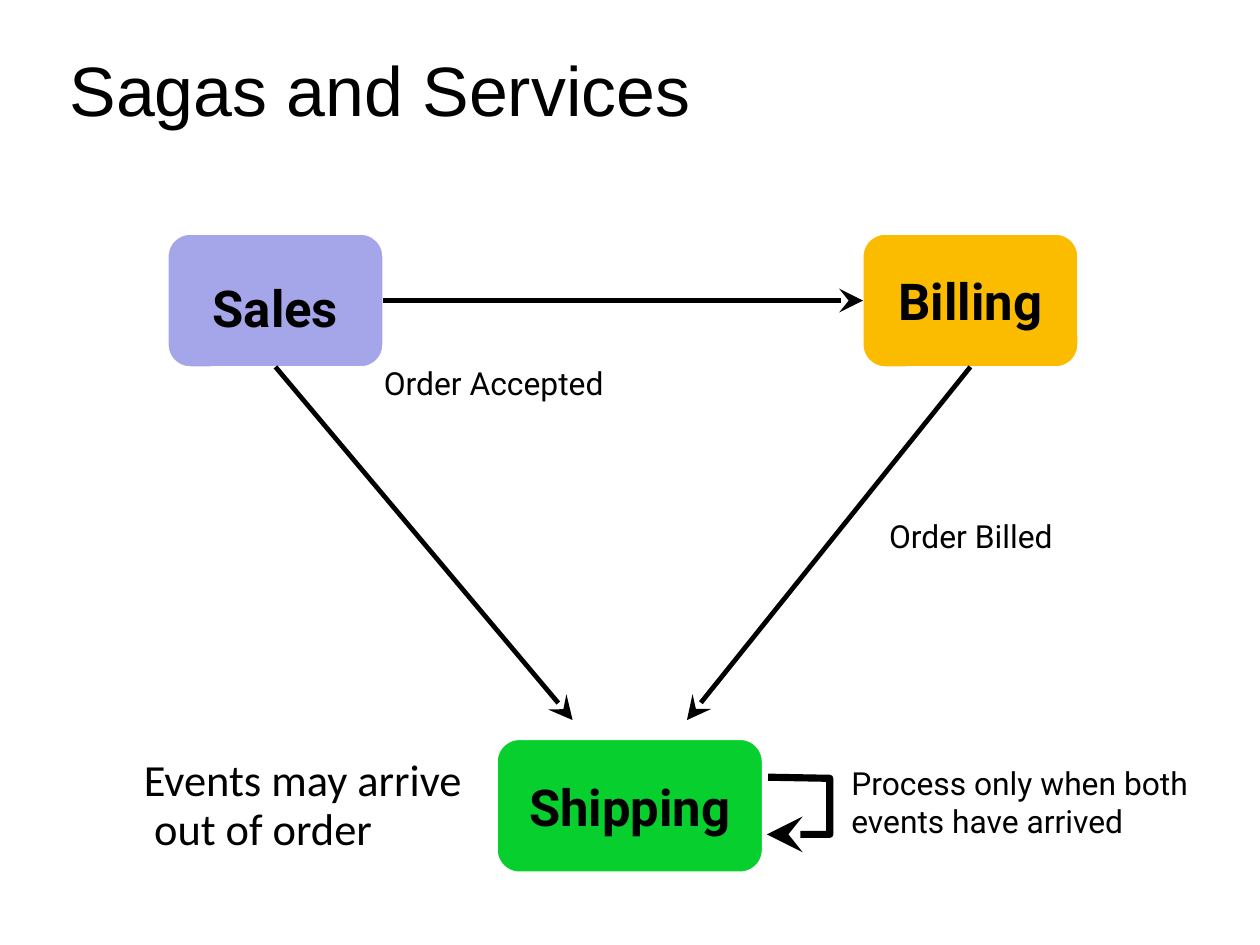
from dataclasses import dataclass
from typing import Optional

from lxml.etree import SubElement
from pptx import Presentation
from pptx.dml.color import RGBColor
from pptx.enum.shapes import MSO_CONNECTOR as Connector, MSO_SHAPE as Preset
from pptx.enum.text import MSO_ANCHOR as Anchor, MSO_AUTO_SIZE as AutoSize, PP_ALIGN as Align
from pptx.oxml.ns import qn
from pptx.shapes.autoshape import Shape
from pptx.shapes.shapetree import SlideShapes
from pptx.util import Inches, Pt


@dataclass(frozen=True)
class Theme:
    ink: str = "000000"
    border: str = "FFFFFF"
    sales: str = "A5A5E9"
    billing: str = "FBBC00"
    shipping: str = "07CF2D"
    title_font: str = "Arial"
    diagram_font: str = "Roboto"
    remark_font: str = "Calibri"
    title_size: float = 44
    service_size: float = 32
    remark_size: float = 28
    label_size: float = 20
    border_width: float = 0.75
    arrow_width: float = 3
    loop_width: float = 4.5


THEME = Theme()


@dataclass(frozen=True)
class Service:
    name: str
    left: float
    top: float
    width: float
    color: str
    anchor: Anchor = Anchor.MIDDLE
    spacing: float = 1.0


@dataclass(frozen=True)
class Label:
    lines: tuple[str, ...]
    left: float
    top: float
    width: float
    height: float = 0.5
    font: str = THEME.diagram_font
    size: float = THEME.label_size
    spacing: float = 1.0
    anchor: Anchor = Anchor.TOP
    wrap: bool = True
    later_indent: float = 0


@dataclass(frozen=True)
class Event:
    source: str
    source_side: int
    target: Optional[str] = None
    target_side: int = 0
    end: tuple[float, float] = (0, 0)


CM_PER_INCH = 2.54
PAGE_WIDTH_CM, PAGE_HEIGHT_CM = 28, 21
LEFT, BOTTOM, RIGHT = 1, 2, 3
SERVICE_HEIGHT = 1.16

SERVICES = (
    Service("Sales", 1.47, 2.05, 1.88, THEME.sales, Anchor.TOP, 1.5),
    Service("Billing", 7.55, 2.05, 1.88, THEME.billing),
    Service("Shipping", 4.35, 6.47, 2.32, THEME.shipping),
)
EVENTS = (
    Event("Sales", BOTTOM, end=(5.01, 6.3)),
    Event("Billing", BOTTOM, end=(6.01, 6.3)),
    Event("Sales", RIGHT, "Billing", LEFT),
)
LABELS = (
    Label(("Sagas and Services",), 0.51, 0.41, 10.51, 0.79, THEME.title_font,
          THEME.title_size, spacing=0.96, anchor=Anchor.MIDDLE),
    Label(("Order Billed",), 7.68, 4.47, 1.75),
    Label(("Order Accepted",), 3.26, 3.13, 2.17),
    Label(("Process only when both events have arrived",), 7.35, 6.63, 3.33),
    Label(("Events may arrive", "out of order"), 1.16, 6.57, 3.01, 0.98,
          THEME.remark_font, THEME.remark_size, spacing=0.93, wrap=False,
          later_indent=0.09),
)
LOOP = ((6.72, 6.8), (7.26, 6.81), (7.26, 7.3), (6.71, 7.3))


def add_span(para, text: str, font: str, size: float, bold: bool = False) -> None:
    span = para.add_run()
    span.text = text
    span.font.name = font
    span.font.size = Pt(size)
    span.font.bold = bold
    span.font.color.rgb = RGBColor.from_string(THEME.ink)


def add_service(shapes: SlideShapes, service: Service) -> Shape:
    box = shapes.add_shape(Preset.ROUNDED_RECTANGLE, Inches(service.left), Inches(service.top),
                           Inches(service.width), Inches(SERVICE_HEIGHT))
    box.shadow.inherit = False
    box.fill.solid()
    box.fill.fore_color.rgb = RGBColor.from_string(service.color)
    box.line.color.rgb = RGBColor.from_string(THEME.border)
    box.line.width = Pt(THEME.border_width)
    frame = box.text_frame
    frame.vertical_anchor = service.anchor
    para = frame.paragraphs[0]
    para.alignment = Align.CENTER
    para.line_spacing = service.spacing
    add_span(para, service.name, THEME.diagram_font, THEME.service_size, True)
    return box


def add_label(shapes: SlideShapes, label: Label) -> None:
    box = shapes.add_textbox(Inches(label.left), Inches(label.top),
                             Inches(label.width), Inches(label.height))
    frame = box.text_frame
    frame.word_wrap = label.wrap
    frame.auto_size = AutoSize.NONE if label.wrap else AutoSize.SHAPE_TO_FIT_TEXT
    frame.vertical_anchor = label.anchor
    for index, text in enumerate(label.lines):
        para = frame.add_paragraph() if index else frame.paragraphs[0]
        para.line_spacing = label.spacing
        if index and label.later_indent:
            para._p.get_or_add_pPr().set("marL", str(Inches(label.later_indent)))
        add_span(para, text, label.font, label.size)


def style_arrow(line, width: float) -> None:
    line.color.rgb = RGBColor.from_string(THEME.ink)
    line.width = Pt(width)
    SubElement(line._get_or_add_ln(), qn("a:tailEnd"), type="stealth", w="lg", len="lg")


def add_event(shapes: SlideShapes, event: Event, boxes: dict[str, Shape]) -> None:
    end_x, end_y = (Inches(value) for value in event.end)
    arrow = shapes.add_connector(Connector.STRAIGHT, 0, 0, end_x, end_y)
    arrow.begin_connect(boxes[event.source], event.source_side)
    if event.target:
        arrow.end_connect(boxes[event.target], event.target_side)
    style_arrow(arrow.line, THEME.arrow_width)
    SubElement(arrow._element.spPr, qn("a:effectLst"))


def add_loop(shapes: SlideShapes) -> None:
    start, *corners = [(Inches(x), Inches(y)) for x, y in LOOP]
    builder = shapes.build_freeform(*start)
    builder.add_line_segments(corners, close=False)
    loop = builder.convert_to_shape()
    loop.shadow.inherit = False
    loop.fill.background()
    style_arrow(loop.line, THEME.loop_width)


def main() -> None:
    deck = Presentation()
    deck.slide_width = Inches(PAGE_WIDTH_CM / CM_PER_INCH)
    deck.slide_height = Inches(PAGE_HEIGHT_CM / CM_PER_INCH)
    page = deck.slides.add_slide(deck.slide_layouts[6])
    boxes = {service.name: add_service(page.shapes, service) for service in SERVICES}
    for event in EVENTS:
        add_event(page.shapes, event, boxes)
    add_loop(page.shapes)
    for label in LABELS:
        add_label(page.shapes, label)
    deck.save("out.pptx")


if __name__ == "__main__":
    main()
